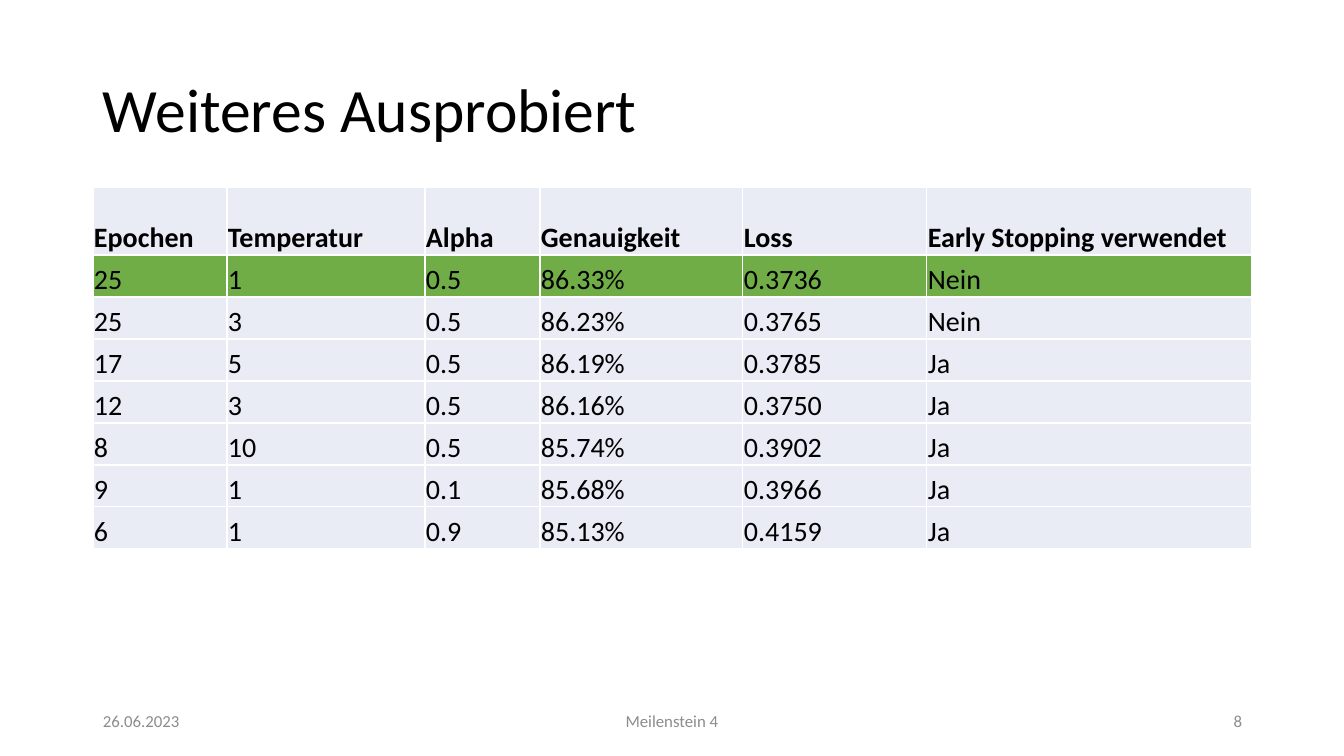
"""Build the slide that lists the further training runs and their results."""
from lxml import etree
from pptx import Presentation
from pptx import util as u
from pptx.dml.color import RGBColor
from pptx.enum import text
from pptx.oxml.ns import qn

TITLE = "Weiteres Ausprobiert"
RESULTS = [
    ("Epochen", "Temperatur", "Alpha", "Genauigkeit", "Loss", "Early Stopping verwendet"),
    ("25", "1", "0.5", "86.33%", "0.3736", "Nein"),
    ("25", "3", "0.5", "86.23%", "0.3765", "Nein"),
    ("17", "5", "0.5", "86.19%", "0.3785", "Ja"),
    ("12", "3", "0.5", "86.16%", "0.3750", "Ja"),
    ("8", "10", "0.5", "85.74%", "0.3902", "Ja"),
    ("9", "1", "0.1", "85.68%", "0.3966", "Ja"),
    ("6", "1", "0.9", "85.13%", "0.4159", "Ja"),
]
BEST_ROW = 1
COLUMN_WIDTHS = [134, 198, 115, 203, 184, 325]
HEADER_HEIGHT, ROW_HEIGHT = 68, 42
LEFT, TABLE_TOP = 93, 187
FOOTER_TOP, FOOTER_HEIGHT = 701, 40
FOOTERS = [
    ("26.06.2023", 93, 302, text.PP_ALIGN.LEFT),
    ("Meilenstein 4", 445, 454, text.PP_ALIGN.CENTER),
    ("8", 950, 302, text.PP_ALIGN.RIGHT),
]
FONT = "Calibri"
BLACK, GREY, WHITE = "000000", "8C8C8C", "FFFFFF"
PALE, GREEN = "E9EBF5", "70AD47"


def px(length):
    return u.Emu(round(length * 914400 / 100.8))


def color(value):
    return RGBColor.from_string(value)


def add_run(paragraph, words, size, tint, bold=False):
    run = paragraph.add_run()
    run.text = words
    run.font.name = FONT
    run.font.size = u.Pt(size)
    run.font.bold = bold
    run.font.color.rgb = color(tint)


def add_text(slide, words, box, size, tint, align=text.PP_ALIGN.LEFT):
    shape = slide.shapes.add_textbox(*map(px, box))
    frame = shape.text_frame
    frame.word_wrap = True
    frame.vertical_anchor = text.MSO_ANCHOR.MIDDLE
    paragraph = frame.paragraphs[0]
    paragraph.alignment = align
    add_run(paragraph, words, size, tint)
    return paragraph


def add_borders(cell):
    properties = cell._tc.get_or_add_tcPr()
    for position, side in enumerate(("a:lnL", "a:lnR", "a:lnT", "a:lnB")):
        line = etree.Element(qn(side), w=str(u.Pt(1)))
        fill = etree.SubElement(line, qn("a:solidFill"))
        etree.SubElement(fill, qn("a:srgbClr"), val=WHITE)
        properties.insert(position, line)


def fill_cell(cell, words, fill, bold):
    cell.fill.solid()
    cell.fill.fore_color.rgb = color(fill)
    cell.margin_left = cell.margin_right = cell.margin_top = px(1)
    cell.margin_bottom = 0
    cell.vertical_anchor = text.MSO_ANCHOR.BOTTOM
    add_run(cell.text_frame.paragraphs[0], words, 20, BLACK, bold)
    add_borders(cell)


def add_results(slide):
    heights = [HEADER_HEIGHT] + [ROW_HEIGHT] * (len(RESULTS) - 1)
    box = (LEFT, TABLE_TOP, sum(COLUMN_WIDTHS), sum(heights))
    table = slide.shapes.add_table(len(RESULTS), len(COLUMN_WIDTHS), *map(px, box)).table
    for column, width in zip(table.columns, COLUMN_WIDTHS):
        column.width = px(width)
    for index, (row, height, values) in enumerate(zip(table.rows, heights, RESULTS)):
        row.height = px(height)
        fill = GREEN if index == BEST_ROW else PALE
        for cell, words in zip(row.cells, values):
            fill_cell(cell, words, fill, bold=index == 0)


def main():
    presentation = Presentation()
    presentation.slide_width, presentation.slide_height = px(1344), px(756)
    slide = presentation.slides.add_slide(presentation.slide_layouts[6])
    title = add_text(slide, TITLE, (LEFT, 40, 1159, 146), 44, BLACK)
    title.line_spacing = 0.9
    add_results(slide)
    for words, left, width, align in FOOTERS:
        add_text(slide, words, (left, FOOTER_TOP, width, FOOTER_HEIGHT), 12, GREY, align)
    presentation.save("out.pptx")


if __name__ == "__main__":
    main()
